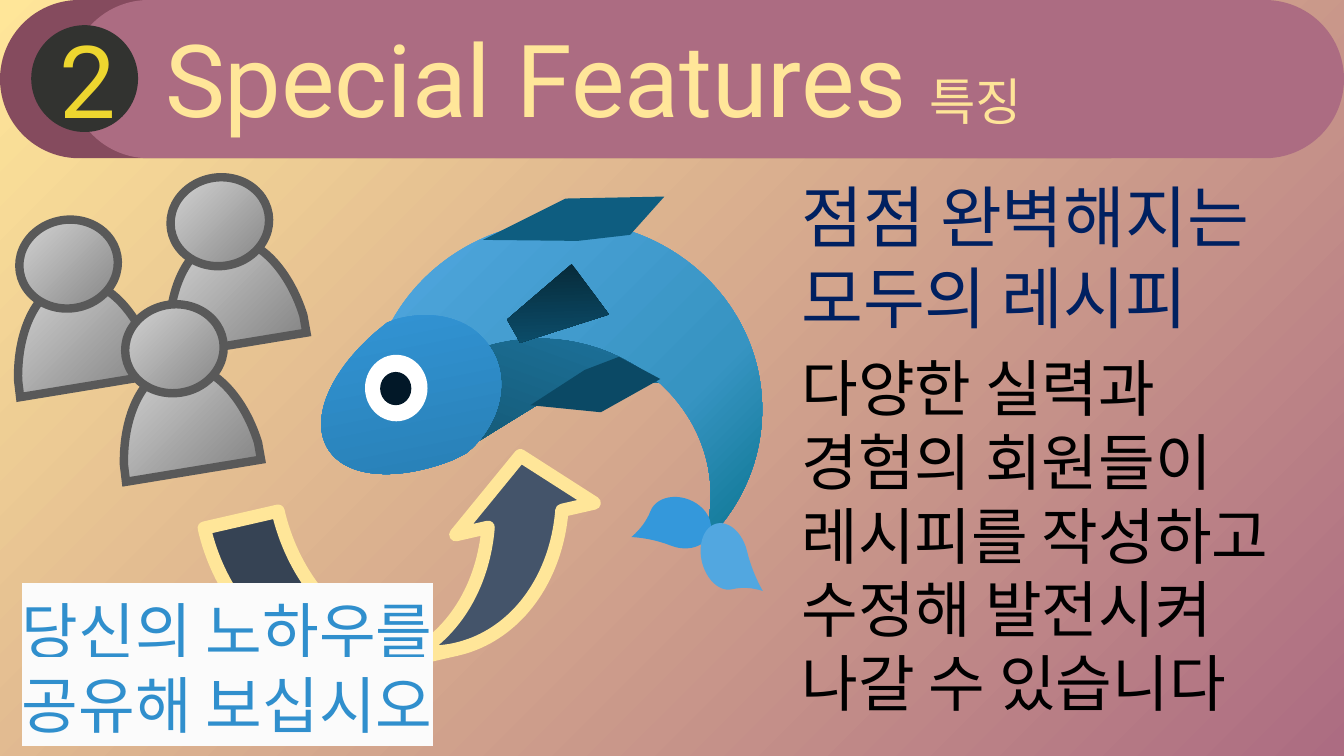
from math import cos, radians, sin
from lxml.etree import SubElement as Sub
from pptx import Presentation
from pptx.dml.color import RGBColor
from pptx.enum.shapes import MSO_SHAPE as Kind
from pptx.enum.text import MSO_AUTO_SIZE as Auto
from pptx.oxml.ns import qn
from pptx.util import Inches, Pt

KOREAN, LATIN = "Noto Sans CJK KR", "Roboto"
GRAY = dict(stops=[(0, "D9D9D9"), (100, "808080")], focus="lt")
TILT = 350.9


def color(code):
    return RGBColor.from_string(code)


def blend(fill, host, stops, angle=0, focus=None):
    """Linear gradient, or a round one spreading from a corner."""
    fill.gradient()
    grad = host.find(".//" + qn("a:gradFill"))
    for child in list(grad):
        grad.remove(child)
    items = Sub(grad, qn("a:gsLst"))
    for place, code in stops:
        stop = Sub(items, qn("a:gs"), pos=str(place * 1000))
        Sub(stop, qn("a:srgbClr"), val=code)
    if focus:
        way = Sub(grad, qn("a:path"), path="circle")
        far = "rb" if focus == "lt" else "lt"
        Sub(way, qn("a:fillToRect"), {side: "100000" for side in far})
    else:
        Sub(grad, qn("a:lin"), ang=str(angle * 60000), scaled="0")


def style(shape, fill, line=None, width=0, join="miter"):
    shape.shadow.inherit = False
    if isinstance(fill, dict):
        blend(shape.fill, shape.element, **fill)
    else:
        shape.fill.solid()
        shape.fill.fore_color.rgb = color(fill)
    if line:
        shape.line.color.rgb = color(line)
        shape.line.width = Pt(width)
        Sub(shape.line.fill._xPr, qn("a:" + join))
    else:
        shape.line.fill.background()


def form(slide, kind, box, fill, turn=0, adjust=(), **edge):
    shape = slide.shapes.add_shape(kind, *map(Inches, box))
    shape.rotation = turn
    for index, value in enumerate(adjust):
        shape.adjustments[index] = value
    style(shape, fill, **edge)


def outline(slide, x, y, box, trail, fill, turn=0, **edge):
    """Closed shape as it appears after its turn; sixes are curves."""
    left, top, wide, high = box
    midx, midy, angle = left + wide / 2, top + high / 2, radians(-turn)

    def local(px, py):
        dx, dy = px - midx, py - midy
        return (Inches(wide / 2 + dx * cos(angle) - dy * sin(angle)),
                Inches(high / 2 + dx * sin(angle) + dy * cos(angle)))

    moves = [[local(*move[i:i + 2]) for i in range(0, len(move), 2)] for move in trail]
    pen = slide.shapes.build_freeform(*moves[0][0], scale=1.0)
    pen.add_line_segments([move[-1] for move in moves[1:]], close=True)
    shape = pen.convert_to_shape()

    # Curves, measured from the corner of the box
    track = shape.element.find(".//" + qn("a:path"))
    for child in list(track):
        track.remove(child)
    track.set("w", str(Inches(wide)))
    track.set("h", str(Inches(high)))
    for index, move in enumerate(moves):
        tag = "cubicBezTo" if len(move) == 3 else "lnTo" if index else "moveTo"
        step = Sub(track, qn("a:" + tag))
        for px, py in move:
            Sub(step, qn("a:pt"), x=str(px), y=str(py))
    Sub(track, qn("a:close"))

    shape.left, shape.top = Inches(x + left), Inches(y + top)
    shape.width, shape.height = Inches(wide), Inches(high)
    shape.rotation = turn
    style(shape, fill, **edge)


def write(slide, box, text, size, ink, font=KOREAN, wrap=False, mark=None):
    frame = slide.shapes.add_textbox(*map(Inches, box)).text_frame
    frame.word_wrap = wrap
    frame.auto_size = Auto.SHAPE_TO_FIT_TEXT
    for index, line in enumerate(text.split("\n")):
        para = frame.add_paragraph() if index else frame.paragraphs[0]
        run = para.add_run()
        run.text = line
        run.font.size = Pt(size)
        run.font.color.rgb = color(ink)
        props = run.font._element
        if mark:
            Sub(Sub(props, qn("a:highlight")), qn("a:srgbClr"), val=mark)
        for tag in ("a:latin", "a:ea"):
            Sub(props, qn(tag), typeface=font)


def fish(slide, x, y):
    def part(box, fill, *trail, turn=0):
        outline(slide, x, y, box, trail, fill, turn)

    def preset(kind, left, top, wide, high, fill, **more):
        form(slide, kind, (x + left, y + top, wide, high), fill, **more)

    # Belly and body
    part((1.15, 1.55, 2.64, 1.93),
         dict(stops=[(0, "227FAE"), (100, "135773")], angle=110),
         (2.3, 1.55), (2.54, 1.63), (3.39, 1.85), (3.34, 1.93), (3.79, 2.39),
         (3.55, 2.8), (2.78, 2.74), (1.58, 3.48), (1.15, 2.56), (1.56, 1.88),
         (2.27, 1.63))
    part((0.66, 1.19, 3.9, 3.22),
         dict(stops=[(3, "0F7895"), (31, "3794C2"), (100, "52A7E0")], focus="rb"),
         (2.61, 1.19), (3.69, 1.19, 4.56, 2.03, 4.56, 3.06),
         (4.56, 3.58, 4.34, 4.05, 3.99, 4.38), (3.96, 4.41), (3.97, 4.38),
         (4.02, 4.23, 4.05, 4.08, 4.05, 3.91), (4.05, 3.05, 3.29, 2.35, 2.35, 2.35),
         (1.59, 2.35, 0.95, 2.81, 0.73, 3.45), (0.72, 3.51), (0.7, 3.44),
         (0.67, 3.32, 0.66, 3.19, 0.66, 3.06), (0.66, 2.03, 1.53, 1.19, 2.61, 1.19))
    # Head
    part((0.11, 2.19, 1.9, 1.52),
         dict(stops=[(0, "3498DB"), (100, "267BAE")], angle=110),
         (0.84, 2.2), (0.73, 2.29), (0.28, 2.68, 0.07, 3.15, 0.25, 3.45),
         (0.43, 3.75, 0.95, 3.78, 1.5, 3.56), (1.62, 3.5), (1.69, 3.44),
         (1.97, 3.16, 2.06, 2.76, 1.87, 2.46), (1.69, 2.16, 1.3, 2.06, 0.92, 2.17),
         turn=328.7)
    # Tail
    preset(Kind.TEAR, 3.43, 3.94, 0.63, 0.49, "3498DB", turn=201.4, adjust=[1.26])
    preset(Kind.TEAR, 3.85, 4.29, 0.67, 0.46, "52A7E0", turn=76.5, adjust=[1.26])
    # Fins
    part((1.79, 0.95, 1.8, 0.45), "0E5D80",
         (1.79, 1.38), (2.73, 1.39), (3.25, 1.33), (3.59, 0.95), (2.61, 0.97))
    part((2.28, 2.65, 1.23, 0.46), "0B4965",
         (2.26, 3.02), (2.8, 2.67), (3.14, 2.54), (3.55, 2.76), (2.96, 3.09),
         turn=328.7)
    part((2.01, 1.71, 0.95, 0.6),
         dict(stops=[(0, "062735"), (100, "0C506E")], angle=110),
         (2.03, 2.17), (2.67, 1.62), (3.04, 2.12), (2.16, 2.4), turn=338.2)
    # Eye
    preset(Kind.OVAL, 0.62, 2.52, 0.62, 0.66, "FFFFFF")
    preset(Kind.OVAL, 0.77, 2.69, 0.31, 0.33, "021828")


def person(slide, x, y):
    look = dict(fill=GRAY, turn=TILT, line="595959", width=6)
    body = [(0.52, 0.61), (0.84, 0.56, 1.17, 0.89, 1.32, 1.37), (1.35, 1.54),
            (0.01, 1.76), (-0.01, 1.59), (-0.02, 1.08, 0.19, 0.66, 0.52, 0.61)]
    outline(slide, x, y, (-0.08, 0.61, 1.36, 1.05), body, **look)
    form(slide, Kind.OVAL, (x, y, 0.98, 0.88), **look)


def header(slide, x, y, wide, high):
    # Bars and number badge
    for left, right, fill in ((0, 11.75, "854B5E"), (0.69, wide, "AC6C82")):
        form(slide, Kind.ROUNDED_RECTANGLE, (x + left, y, right - left, high),
             fill, adjust=[0.5])
    form(slide, Kind.OVAL, (x + 0.31, y + 0.25, 1.06, 1.06), "323330")
    # Titles
    write(slide, (x + 0.49, y + 0.13, 0.71, 1.31), "2", 72, "EDD62F", font=LATIN)
    write(slide, (x + 1.54, y + 0.12, 7.67, 1.31), "Special Features", 72,
          "FFE699", font=LATIN)
    write(slide, (x + 9.12, y + 0.65, 1.21, 0.71), "특징", 36, "FEE498")


def message(slide, x, y):
    write(slide, (x, y + 1.73, 5.57, 3.8),
          "다양한 실력과\n경험의 회원들이\n레시피를 작성하고\n수정해 발전시켜\n나갈 수 있습니다",
          44, "000000")
    write(slide, (x, y, 6.67, 1.72), "점점 완벽해지는\n모두의 레시피", 48, "002060",
          wrap=True)


def main():
    deck = Presentation()
    deck.slide_width, deck.slide_height = Inches(13.33), Inches(7.5)
    slide = deck.slides.add_slide(deck.slide_layouts[6])
    blend(slide.background.fill, slide.element,
          [(0, "FFE699"), (100, "AC6C82")], focus="lt")

    fish(slide, 3, 1)
    for spot in ((0.19, 2.18), (1.69, 1.76), (1.24, 3.02)):
        person(slide, *spot)

    # Arrow from the people to the fish
    form(slide, Kind.CURVED_UP_ARROW, (2.17, 4.78, 3.92, 1.73), "44546A",
         turn=347.1, adjust=[0.434, 0.814, 0.359], line="FFE699", width=9.5,
         join="round")

    message(slide, 7.85, 1.69)
    write(slide, (0.12, 5.83, 6.67, 1.58), "당신의 노하우를\n공유해 보십시오", 44,
          "308FCD", wrap=True, mark="FBFBFB")
    header(slide, 0, 0, 13.33, 1.57)
    deck.save("out.pptx")


if __name__ == "__main__":
    main()
